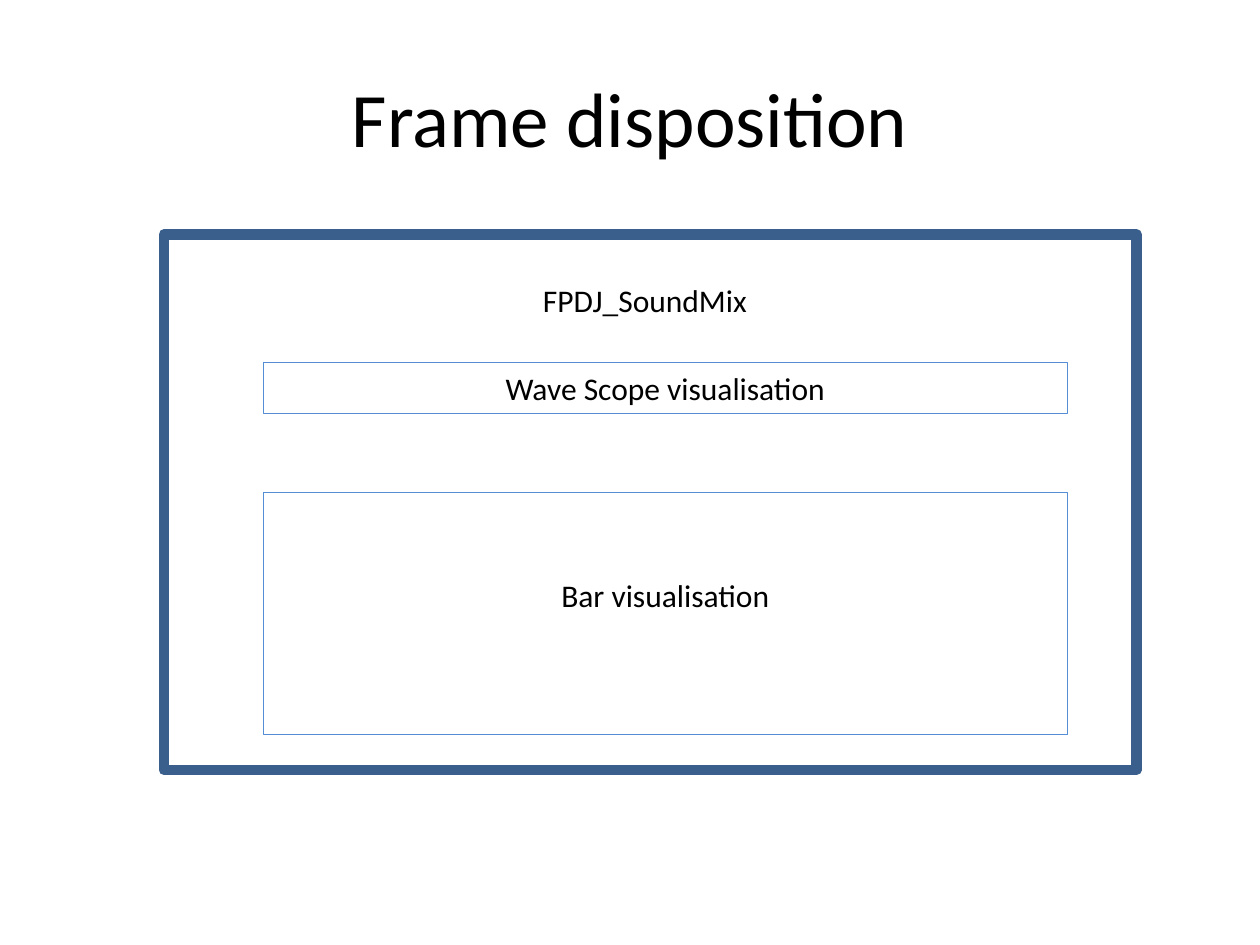
import pptx
import pptx.util
import pptx.dml.color
import pptx.enum.shapes
import pptx.enum.text

Inches = pptx.util.Inches
Pt = pptx.util.Pt
RGBColor = pptx.dml.color.RGBColor
ALIGN = pptx.enum.text.PP_ALIGN
ANCHOR = pptx.enum.text.MSO_ANCHOR

BLACK = RGBColor(0x00, 0x00, 0x00)
FRAME_BLUE = RGBColor(0x3A, 0x5F, 0x8C)
PANEL_BLUE = RGBColor(0x55, 0x8E, 0xD5)


def add_text(sp, text, size=18, align=ALIGN.CENTER, anchor=ANCHOR.TOP, top=0.05):
    tf = sp.text_frame
    tf.word_wrap = True
    tf.vertical_anchor = anchor
    tf.margin_top = Inches(top)
    p = tf.paragraphs[0]
    p.alignment = align
    r = p.add_run()
    r.text = text
    r.font.name = "Calibri"
    r.font.size = Pt(size)
    r.font.color.rgb = BLACK


def add_outline(s, x, y, w, h, color, weight):
    sp = s.shapes.add_shape(pptx.enum.shapes.MSO_SHAPE.RECTANGLE,
                            Inches(x), Inches(y), Inches(w), Inches(h))
    sp.shadow.inherit = False
    sp.fill.background()
    sp.line.color.rgb = color
    sp.line.width = Pt(weight)
    return sp


prs = pptx.Presentation()
prs.slide_width = Inches(10)
prs.slide_height = Inches(7.5)
s = prs.slides.add_slide(prs.slide_layouts[6])

title = s.shapes.add_textbox(Inches(0.5), Inches(0.3), Inches(9), Inches(1.25))
add_text(title, "Frame disposition", size=44, anchor=ANCHOR.MIDDLE)

add_outline(s, 1.3, 1.86, 7.72, 4.25, FRAME_BLUE, 6)

label = s.shapes.add_textbox(Inches(4.21), Inches(2.18), Inches(3.15), Inches(0.4))
add_text(label, "FPDJ_SoundMix", align=ALIGN.LEFT)

panels = [
    ("Wave Scope visualisation", 2.88, 0.4, 0.05),
    ("Bar visualisation", 3.91, 1.92, 0.66),
]
for text, y, h, top in panels:
    panel = add_outline(s, 2.09, y, 6.38, h, PANEL_BLUE, 0.75)
    add_text(panel, text, top=top)

prs.save("out.pptx")
